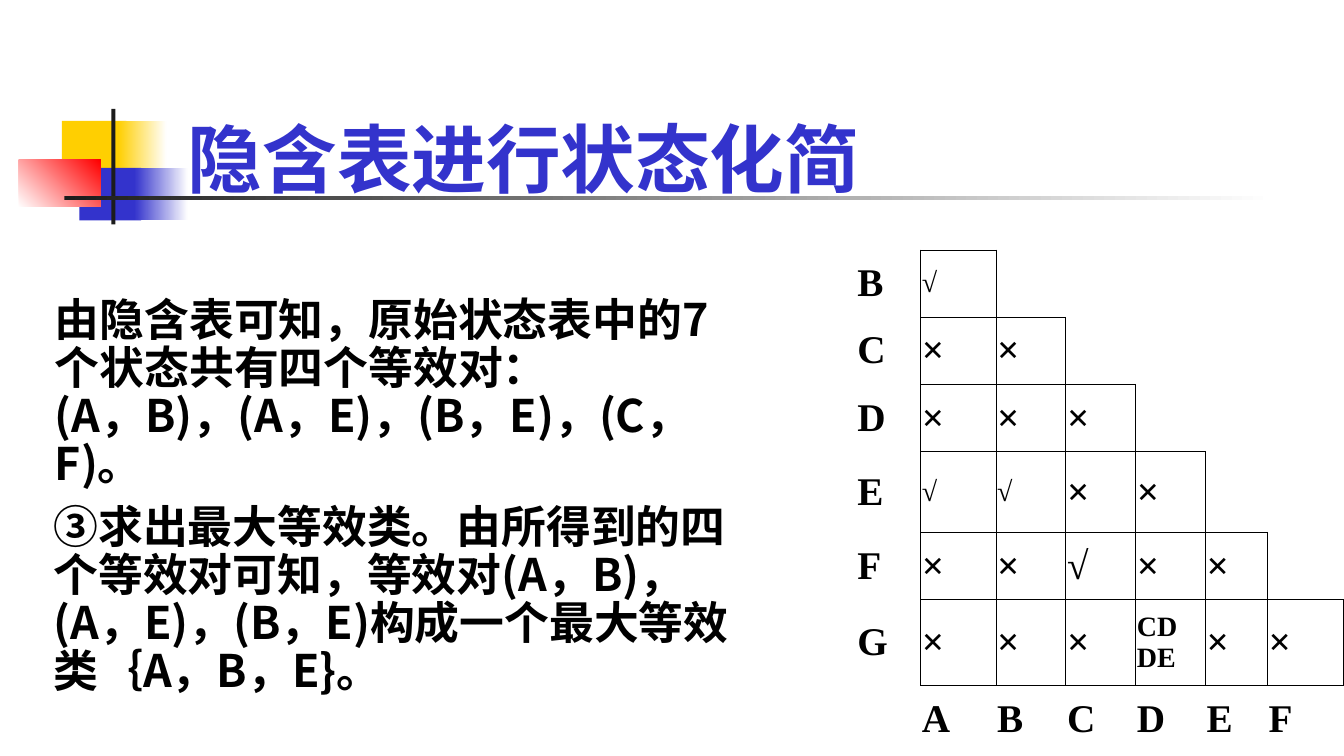
import pptx
import pptx.util
import pptx.dml.color
import pptx.enum.shapes
import pptx.enum.text
import pptx.oxml.ns
from lxml import etree

Inches, Pt = pptx.util.Inches, pptx.util.Pt
RGB = pptx.dml.color.RGBColor
ANCHOR = pptx.enum.text.MSO_ANCHOR
qn = pptx.oxml.ns.qn

GOLD = RGB(0xFF, 0xCF, 0x01)
BLUE = RGB(0x33, 0x33, 0xCC)
RED = RGB(0xFF, 0x00, 0x00)
DARK = RGB(0x1C, 0x1C, 0x1C)
WHITE = RGB(0xFF, 0xFF, 0xFF)
BLACK = RGB(0x00, 0x00, 0x00)
SANS, SERIF = "Noto Sans CJK SC", "Times New Roman"
NO_STYLE = "{2D5ABB26-0587-4C30-8999-92F81FD0307C}"

# left, top, width, height, colours (two make a gradient), angle
DECOR = [
    (0.46, 0.9, 0.48, 0.39, [GOLD], 0),
    (0.88, 0.9, 0.36, 0.39, [GOLD, WHITE], 0),
    (0.59, 1.25, 0.46, 0.39, [BLUE], 0),
    (1, 1.25, 0.4, 0.39, [BLUE, WHITE], 0),
    (0.14, 1.19, 0.61, 0.35, [WHITE, RED], 45),
    (0.83, 0.81, 0.03, 0.86, [DARK], 0),
    (0.48, 1.46, 9, 0.03, [DARK, WHITE], 0),
]
TITLE = "隐含表进行状态化简"
CLASS = ["③求出最大等效类。由所得到的四个等效对可知，等效对(A，B)，(A，E)，"
         "(B，E)构成一个最大等效类｛A，B，E}。"]
PAIRS = ["由隐含表可知，原始状态表中的7个状态共有四个等效对：",
         "(A，B)，(A，E)，(B，E)，(C，F)。"]
STATES = "ABCDEFG"
MARKS = [
    ["√"],
    ["×", "×"],
    ["×", "×", "×"],
    ["√", "√", "×", "×"],
    ["×", "×", "√", "×", "×"],
    ["×", "×", "×", "CDDE", "×", "×"],
]
BIG_TICK = (4, 3)
COLS = [0.48, 0.56, 0.52, 0.52, 0.52, 0.46, 0.57]
ROWS = [0.5, 0.5, 0.5, 0.6, 0.5, 0.64, 0.5]


def style(para, size, face, color):
    font = para.font
    font.size, font.name, font.bold = Pt(size), face, True
    font.color.rgb = color
    east = etree.Element(qn("a:ea"), typeface=SANS)
    font._element.find(qn("a:latin")).addnext(east)


def add_bar(slide, left, top, width, height, colors, angle):
    bar = slide.shapes.add_shape(pptx.enum.shapes.MSO_SHAPE.RECTANGLE,
                                 *map(Inches, (left, top, width, height)))
    bar.shadow.inherit = False
    bar.line.fill.background()
    if len(colors) == 1:
        bar.fill.solid()
        bar.fill.fore_color.rgb = colors[0]
        return
    bar.fill.gradient()
    bar.fill.gradient_angle = angle
    for stop, color in zip(bar.fill.gradient_stops, colors):
        stop.color.rgb = color


def add_text(slide, place, lines, size, face, color, indent, space):
    """Add a text box; indent is the left margin and first-line shift."""
    box = slide.shapes.add_textbox(*map(Inches, place))
    frame = box.text_frame
    frame.word_wrap = True
    for i, line in enumerate(lines):
        para = frame.paragraphs[0] if i == 0 else frame.add_paragraph()
        para.text = line
        para.line_spacing = space
        props = para._p.get_or_add_pPr()
        props.set("marL", str(Inches(indent[0])))
        props.set("indent", str(Inches(indent[1])))
        style(para, size, face, color)
    return frame


def boxed(row, col):
    return 0 <= row < len(MARKS) and 1 <= col <= row + 1


def label(row, col):
    if boxed(row, col):
        return MARKS[row][col - 1]
    if col == 0 and row < len(MARKS):
        return STATES[row + 1]
    if row == len(MARKS) and col > 0:
        return STATES[col - 1]
    return ""


def rule(cell, row, col):
    """Draw each edge that touches a boxed cell and clear the others."""
    sides = [("L", 0, -1), ("R", 0, 1), ("T", -1, 0), ("B", 1, 0)]
    props = cell._tc.get_or_add_tcPr()
    for spot, (side, down, right) in enumerate(sides):
        line = etree.Element(qn("a:ln" + side), w=str(Pt(0.45)))
        if boxed(row, col) or boxed(row + down, col + right):
            fill = etree.SubElement(line, qn("a:solidFill"))
            etree.SubElement(fill, qn("a:srgbClr"), val=str(BLACK))
        else:
            etree.SubElement(line, qn("a:noFill"))
        props.insert(spot, line)


def add_grid(slide):
    place = (6.37, 1.86, sum(COLS), sum(ROWS))
    frame = slide.shapes.add_table(len(ROWS), len(COLS), *map(Inches, place))
    table = frame.table
    table.first_row = table.horz_banding = False
    table._tbl.tblPr.find(qn("a:tableStyleId")).text = NO_STYLE
    for col, width in zip(table.columns, COLS):
        col.width = Inches(width)
    for r, height in enumerate(ROWS):
        table.rows[r].height = Inches(height)
        for c in range(len(COLS)):
            cell, text = table.cell(r, c), label(r, c)
            cell.fill.background()
            cell.margin_left, cell.margin_right = Inches(0.01), Inches(0.1)
            cell.vertical_anchor = ANCHOR.MIDDLE
            rule(cell, r, c)
            if text:
                small = text in ("√", "CDDE") and (r, c) != BIG_TICK
                cell.text = text
                style(cell.text_frame.paragraphs[0], 15 if small else 21,
                      SERIF, BLACK)


def main():
    deck = pptx.Presentation()
    deck.slide_width = Inches(10)
    deck.slide_height = deck.slide_width * 9 // 16
    slide = deck.slides.add_slide(deck.slide_layouts[6])
    for bar in DECOR:
        add_bar(slide, *bar)
    title = add_text(slide, (1.3, 0.86, 8.5, 0.65), [TITLE], 40, "Lato", BLUE,
                     (0.1, -0.1), 0.9)
    title.vertical_anchor = ANCHOR.MIDDLE
    title.margin_top = Inches(0.11)
    add_grid(slide)
    for place, lines in [((-0.01, 3.7, 5.59, 1.54), CLASS),
                         ((0, 2.16, 5.59, 1.54), PAIRS)]:
        add_text(slide, place, lines, 24, SANS, BLACK, (0.31, 0), Pt(25.8))
    deck.save("out.pptx")


if __name__ == "__main__":
    main()
